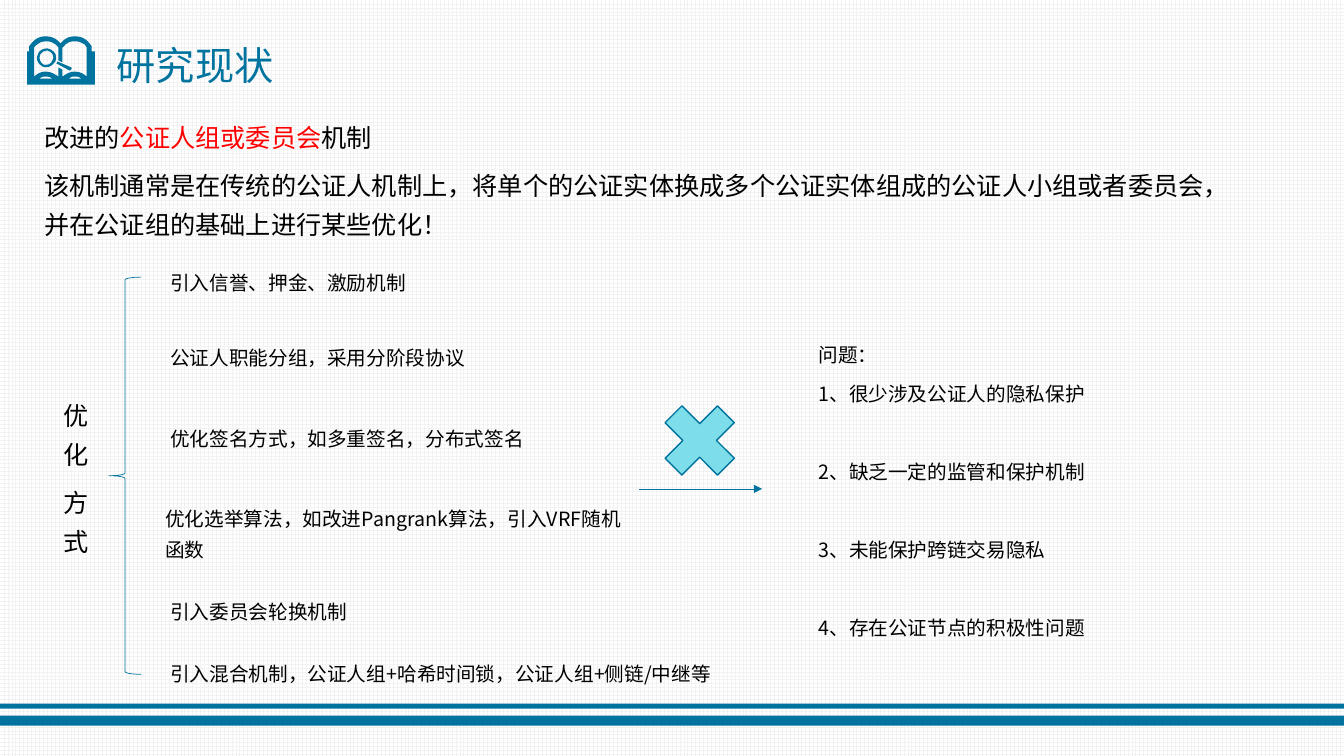
from lxml.etree import SubElement
from pptx import Presentation
from pptx.dml.color import RGBColor
from pptx.enum.dml import MSO_PATTERN
from pptx.enum.shapes import MSO_CONNECTOR, MSO_SHAPE
from pptx.enum.text import MSO_AUTO_SIZE
from pptx.oxml.ns import qn
from pptx.util import Inches, Pt

BLUE = RGBColor(0x00, 0x74, 0x9F)
LINE_BLUE = RGBColor(0x00, 0x73, 0x9E)
CYAN = RGBColor(0x7D, 0xDD, 0xE9)
RED = RGBColor(0xFF, 0x00, 0x00)
BLACK = RGBColor(0x00, 0x00, 0x00)
WHITE = RGBColor(0xFF, 0xFF, 0xFF)
GRID_GRAY = RGBColor(0xF2, 0xF2, 0xF2)
CJK_FONT = "Noto Sans CJK SC"


def add_text(box, paragraphs, size, color=BLACK, font=CJK_FONT, wrap=True, spaced=True):
    """Add a text box; each paragraph is a list of runs."""
    text_box = slide.shapes.add_textbox(*[Inches(length) for length in box])
    frame = text_box.text_frame
    frame.word_wrap = wrap
    frame.auto_size = MSO_AUTO_SIZE.SHAPE_TO_FIT_TEXT
    for index, texts in enumerate(paragraphs):
        paragraph = frame.add_paragraph() if index else frame.paragraphs[0]
        if spaced:
            paragraph.line_spacing = 1.3
            paragraph.space_before = Pt(6)
        for text in texts:
            run = paragraph.add_run()
            run.text = text
            run.font.size = Pt(size)
            run.font.name = font
            run.font.color.rgb = color
            SubElement(run.font._element, qn("a:ea"), typeface=CJK_FONT)
    return frame


def add_curved_freeform(contours):
    """Draw closed contours of points (two numbers) and cubic curves (six numbers)."""
    builder = None
    for contour in contours:
        points = [
            (Inches(segment[i]), Inches(segment[i + 1]))
            for segment in contour for i in range(0, len(segment), 2)
        ]
        if builder is None:
            builder = slide.shapes.build_freeform(*points[0])
        else:
            builder.move_to(*points[0])
        builder.add_line_segments(points[1:], close=True)
    shape = builder.convert_to_shape()

    # Every curve was laid out as three line segments: merge them
    lines = iter(list(shape._element.iter(qn("a:lnTo"))))
    for contour in contours:
        for segment in contour[1:]:
            line = next(lines)
            if len(segment) == 6:
                line.tag = qn("a:cubicBezTo")
                for _ in range(2):
                    extra = next(lines)
                    line.append(extra[0])
                    extra.getparent().remove(extra)
    return shape


presentation = Presentation()
presentation.slide_width = Inches(13.33)
presentation.slide_height = Inches(7.5)
slide = presentation.slides.add_slide(presentation.slide_layouts[6])

background = slide.background.fill
background.patterned()
background.pattern = MSO_PATTERN.LARGE_GRID
background.fore_color.rgb = GRID_GRAY
background.back_color.rgb = WHITE

# Footer bars
for top, height in [(7.1, 0.1), (6.98, 0.05)]:
    bar = slide.shapes.add_shape(
        MSO_SHAPE.RECTANGLE, 0, Inches(top), presentation.slide_width, Inches(height))
    bar.shadow.inherit = False
    bar.fill.solid()
    bar.fill.fore_color.rgb = BLUE
    bar.line.fill.background()

# Book icon: cover, pages, page curls, magnifier
cover = [
    (0.27, 0.84), (0.27, 0.51), (0.29, 0.51), (0.29, 0.46),
    (0.29, 0.46, 0.31, 0.43, 0.33, 0.41), (0.36, 0.38, 0.4, 0.36, 0.45, 0.36),
    (0.51, 0.36, 0.55, 0.38, 0.58, 0.41), (0.6, 0.43), (0.62, 0.41),
    (0.65, 0.38, 0.69, 0.36, 0.74, 0.36), (0.8, 0.36, 0.84, 0.38, 0.87, 0.41),
    (0.89, 0.43, 0.91, 0.46, 0.91, 0.46), (0.91, 0.51), (0.94, 0.51), (0.94, 0.84),
]
pages = [
    (0.45, 0.41), (0.42, 0.41, 0.39, 0.42, 0.37, 0.44),
    (0.35, 0.45, 0.34, 0.47, 0.34, 0.47), (0.34, 0.76),
    (0.36, 0.74, 0.4, 0.71, 0.45, 0.71), (0.51, 0.71, 0.55, 0.74, 0.58, 0.76),
    (0.58, 0.67), (0.62, 0.69), (0.62, 0.76),
    (0.65, 0.74, 0.69, 0.71, 0.74, 0.71), (0.8, 0.71, 0.84, 0.74, 0.86, 0.76),
    (0.86, 0.47), (0.85, 0.46, 0.85, 0.45, 0.84, 0.44),
    (0.81, 0.42, 0.78, 0.41, 0.74, 0.41), (0.7, 0.41, 0.67, 0.42, 0.65, 0.44),
    (0.64, 0.45, 0.63, 0.47, 0.62, 0.47), (0.62, 0.62), (0.58, 0.6), (0.58, 0.47),
    (0.57, 0.46, 0.56, 0.45, 0.55, 0.44), (0.53, 0.42, 0.5, 0.41, 0.45, 0.41),
]
curls = [
    [(left, 0.78), (left + 0.02, 0.76, left + 0.04, 0.76, left + 0.06, 0.76),
     (left + 0.09, 0.76, left + 0.11, 0.76, left + 0.13, 0.78)]
    for left in (0.39, 0.68)
]
handle = [
    (0.57, 0.61), (0.71, 0.67), (0.71, 0.67, 0.72, 0.7, 0.69, 0.7), (0.56, 0.63),
]
lens_rim = [
    (0.47, 0.48), (0.48, 0.48, 0.49, 0.48, 0.5, 0.49),
    (0.55, 0.51, 0.57, 0.56, 0.55, 0.61), (0.54, 0.62),
    (0.52, 0.66, 0.46, 0.68, 0.42, 0.66), (0.37, 0.63, 0.35, 0.58, 0.38, 0.53),
    (0.39, 0.5, 0.43, 0.48, 0.47, 0.48),
]
lens_glass = [
    (0.47, 0.5), (0.44, 0.5, 0.41, 0.52, 0.4, 0.54),
    (0.38, 0.58, 0.4, 0.62, 0.43, 0.64), (0.46, 0.65, 0.51, 0.64, 0.52, 0.6),
    (0.54, 0.57, 0.53, 0.53, 0.49, 0.51), (0.48, 0.51, 0.47, 0.5, 0.47, 0.5),
]
book = add_curved_freeform([*curls, handle, lens_glass, lens_rim, pages, cover])
book.shadow.inherit = False
book.fill.solid()
book.fill.fore_color.rgb = BLUE
book.line.fill.background()

# Title and introduction
add_text((1.06, 0.36, 1.77, 0.57), [["研究现状"]], 28, BLUE, "Arial", wrap=False, spaced=False)
heading = add_text(
    (0.34, 1.07, 3.52, 0.46), [["改进的", "公证人组或委员会", "机制"]], 18, font="Arial")
heading.paragraphs[0].runs[1].font.color.rgb = RED
add_text((0.34, 1.55, 12.02, 0.85), [[
    "该机制通常是在传统的公证人机制上，将单个的公证实体换成多个公证实体组成的"
    "公证人小组或者委员会，并在公证组的基础上进行某些优化！"]], 18)

# Optimisation methods
add_text((0.53, 3.83, 0.45, 1.72), [["优化"], ["方式"]], 18)
brace = slide.shapes.add_shape(
    MSO_SHAPE.LEFT_BRACE, Inches(1.08), Inches(2.75), Inches(0.32), Inches(3.94))
brace.shadow.inherit = False
brace.fill.background()
brace.line.color.rgb = LINE_BLUE
brace.line.width = Pt(0.5)

methods = [
    (1.59, 2.57, 2.86, 0.38, "引入信誉、押金、激励机制"),
    (1.59, 3.31, 3.52, 0.38, "公证人职能分组，采用分阶段协议"),
    (1.59, 4.12, 4, 0.38, "优化签名方式，如多重签名，分布式签名"),
    (1.54, 4.91, 4.81, 0.68, "优化选举算法，如改进Pangrank算法，引入VRF随机函数"),
    (1.59, 5.83, 2.86, 0.38, "引入委员会轮换机制"),
    (1.59, 6.45, 5.88, 0.38, "引入混合机制，公证人组+哈希时间锁，公证人组+侧链/中继等"),
]
for *box, method in methods:
    add_text(box, [[method]], 14)

# Cross and arrow towards the problems
cross = slide.shapes.add_shape(
    MSO_SHAPE.MATH_MULTIPLY, Inches(6.44), Inches(3.87), Inches(1), Inches(1))
cross.shadow.inherit = False
cross.fill.solid()
cross.fill.fore_color.rgb = CYAN
cross.line.color.rgb = BLUE
cross.line.width = Pt(1)

arrow = slide.shapes.add_connector(
    MSO_CONNECTOR.STRAIGHT, Inches(6.34), Inches(4.85), Inches(7.56), Inches(4.85))
arrow.line.color.rgb = LINE_BLUE
arrow.line.width = Pt(0.5)
SubElement(arrow.line._get_or_add_ln(), qn("a:tailEnd"), type="triangle")
SubElement(arrow._element.spPr, qn("a:effectLst"))

# Problems
problems = add_text((8.02, 3.28, 4.66, 3.11), [
    ["问题："],
    ["1、很少涉及公证人的隐私保护"],
    ["2、缺乏一定的监管和保护机制"],
    ["3、未能保护跨链交易隐私"],
    ["4、存在公证节点的积极性问题"],
], 14)
for paragraph in problems.paragraphs[2:]:
    paragraph.space_before = Pt(34)

presentation.save("out.pptx")
